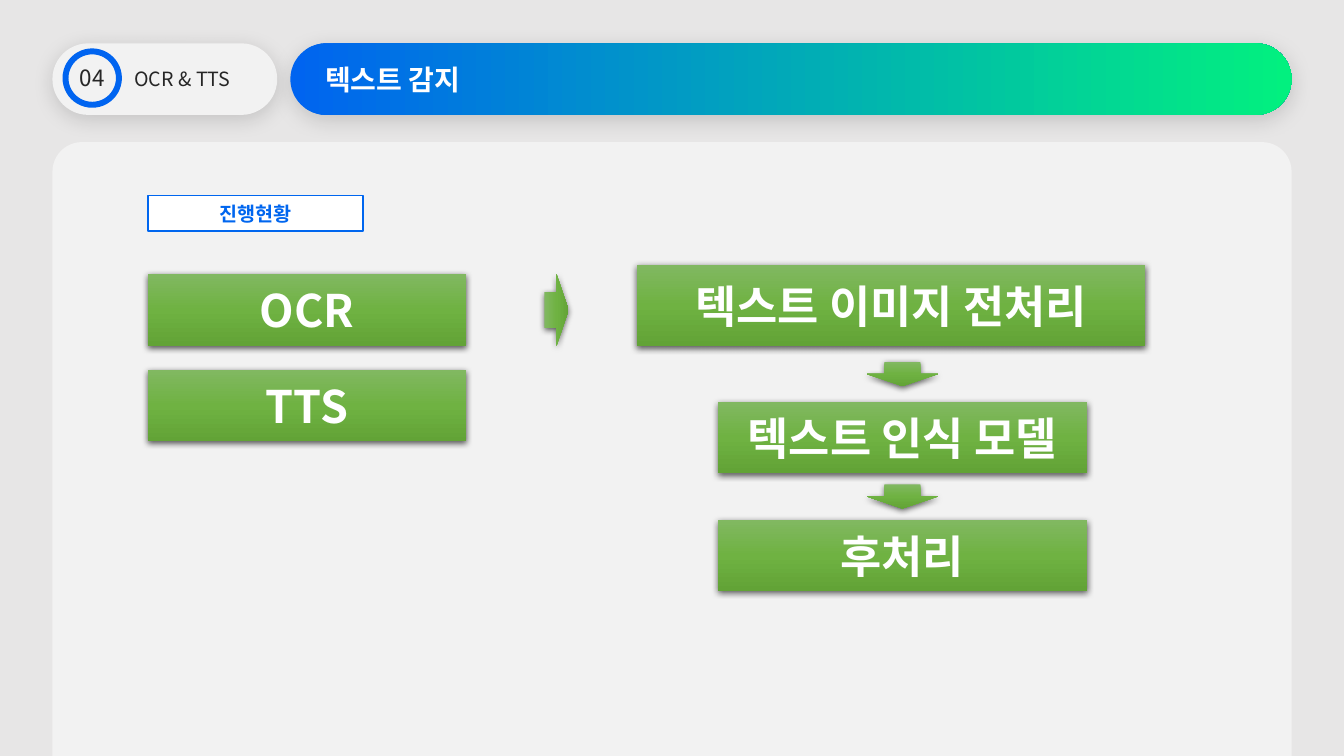
from lxml import etree
from pptx import Presentation
from pptx import util as u
from pptx.dml.color import RGBColor
from pptx.enum import shapes, text
from pptx.oxml.ns import qn

FONT = "Noto Sans CJK KR"
COLORS = {
    "backdrop": "E7E6E6", "panel": "F2F2F2", "ink": "262626", "white": "FFFFFF",
    "blue": "0064F0", "mint": "02F07F", "label": "0066EF", "black": "000000",
    "green_top": "81B861", "green_middle": "6FB242", "green_bottom": "62A336",
}
HEADER_GRADIENT = (("blue", "mint"), 0)
GREEN_GRADIENT = (("green_top", "green_middle", "green_bottom"), 90)
HEADER_SHADOW = (14, 15, 3)
GREEN_SHADOW = (63, 4.5, 1.5)

NUMBER, CHAPTER, TITLE, STATUS = "04", "OCR & TTS", "텍스트 감지", "진행현황"
TOPICS = ["OCR", "TTS"]
STEPS = [
    ("텍스트 이미지 전처리", 6.32, 2.63, 5.04, 0.8),
    ("텍스트 인식 모델", 7.12, 3.99, 3.66, 0.7),
    ("후처리", 7.12, 5.16, 3.66, 0.7),
]
MARGIN, CONTENT_WIDTH = 0.52, 12.29
HEADER_TOP, HEADER_HEIGHT = 0.43, 0.71
COLUMN_LEFT = 1.47
TOPIC_TOP, TOPIC_WIDTH, TOPIC_HEIGHT, TOPIC_PITCH = 2.72, 3.15, 0.71, 0.95
ARROW_WIDTH, ARROW_HEIGHT = 0.71, 0.24
SIDE_ARROW_CENTER = 5.52

KIND = shapes.MSO_SHAPE


def rgb(name):
    return RGBColor.from_string(COLORS[name])


def add_color(parent, name):
    return etree.SubElement(parent, qn("a:srgbClr"), val=COLORS[name])


def add_box(kind, left, top, width, height, fill=None, line=None, adjustments=()):
    box = page.shapes.add_shape(kind, *map(u.Inches, (left, top, width, height)))
    box.shadow.inherit = False
    for index, value in enumerate(adjustments):
        box.adjustments[index] = value
    if fill:
        box.fill.solid()
        box.fill.fore_color.rgb = rgb(fill)
    else:
        box.fill.background()
    if line:
        name, points = line
        box.line.color.rgb = rgb(name)
        box.line.width = u.Pt(points)
    else:
        box.line.fill.background()
    return box


def add_gradient(box, gradient):
    names, angle = gradient
    properties = box._element.spPr
    element = etree.Element(qn("a:gradFill"), rotWithShape="1")
    stops = etree.SubElement(element, qn("a:gsLst"))
    for index, name in enumerate(names):
        position = index * 100000 // (len(names) - 1)
        add_color(etree.SubElement(stops, qn("a:gs"), pos=str(position)), name)
    etree.SubElement(element, qn("a:lin"), ang=str(angle * 60000), scaled="0")
    properties.replace(properties.find(qn("a:noFill")), element)


def add_shadow(box, shadow):
    opacity, blur, distance = shadow
    effects = box._element.spPr.find(qn("a:effectLst"))
    outer = etree.SubElement(
        effects, qn("a:outerShdw"), blurRad=str(u.Pt(blur)), dist=str(u.Pt(distance)),
        dir="5400000", algn="t", rotWithShape="0")
    color = add_color(outer, "black")
    etree.SubElement(color, qn("a:alpha"), val=str(opacity * 1000))


def write(box, words, size, color, bold=False, inset=None):
    frame = box.text_frame
    frame.text = words
    frame.word_wrap = True
    frame.vertical_anchor = text.MSO_ANCHOR.MIDDLE
    para = frame.paragraphs[0]
    para.alignment = text.PP_ALIGN.CENTER
    if inset is not None:
        frame.margin_left = u.Inches(inset)
        para.alignment = text.PP_ALIGN.LEFT
    font = para.runs[0].font
    font.name, font.size, font.bold = FONT, u.Pt(size), bold
    font.color.rgb = rgb(color)
    etree.SubElement(font._element, qn("a:ea"), typeface=FONT)


def add_green(kind, left, top, width, height, words=None):
    box = add_box(kind, left, top, width, height)
    add_gradient(box, GREEN_GRADIENT)
    add_shadow(box, GREEN_SHADOW)
    if words:
        write(box, words, 32, "white", True)
    return box


def add_arrow(center_x, center_y):
    return add_green(KIND.DOWN_ARROW, center_x - ARROW_WIDTH / 2,
                     center_y - ARROW_HEIGHT / 2, ARROW_WIDTH, ARROW_HEIGHT)


deck = Presentation()
deck.slide_width, deck.slide_height = u.Inches(13.33), u.Inches(7.5)
page = deck.slides.add_slide(deck.slide_layouts[6])
page.background.fill.solid()
page.background.fill.fore_color.rgb = rgb("backdrop")

chapter = add_box(KIND.ROUNDED_RECTANGLE, MARGIN, HEADER_TOP, 2.23, HEADER_HEIGHT,
                  "panel", adjustments=[0.5])
add_shadow(chapter, HEADER_SHADOW)
write(chapter, CHAPTER, 14, "ink", inset=0.71)

badge = add_box(KIND.OVAL, 0.65, 0.51, 0.53, 0.53, line=("blue", 4.25))
write(badge, NUMBER, 16, "ink")
badge.text_frame.word_wrap = False

title = add_box(KIND.ROUNDED_RECTANGLE, 2.88, HEADER_TOP, 9.93, HEADER_HEIGHT,
                adjustments=[0.5])
add_gradient(title, HEADER_GRADIENT)
add_shadow(title, HEADER_SHADOW)
write(title, TITLE, 20, "white", True, inset=0.24)

add_box(KIND.ROUND_2_SAME_RECTANGLE, MARGIN, 1.41, CONTENT_WIDTH, 6.09, "panel",
        adjustments=[0.048, 0])

for row, topic in enumerate(TOPICS):
    add_green(KIND.RECTANGLE, COLUMN_LEFT, TOPIC_TOP + row * TOPIC_PITCH,
              TOPIC_WIDTH, TOPIC_HEIGHT, topic)
add_arrow(SIDE_ARROW_CENTER, TOPIC_TOP + TOPIC_HEIGHT / 2).rotation = 270

for words, *place in STEPS:
    add_green(KIND.RECTANGLE, *place, words)
for above, below in zip(STEPS, STEPS[1:]):
    add_arrow(below[1] + below[3] / 2, (above[2] + above[4] + below[2]) / 2)

status = add_box(KIND.RECTANGLE, COLUMN_LEFT, 1.94, 2.13, 0.35, "white", ("label", 1))
write(status, STATUS, 14, "label", True)

deck.save("out.pptx")
